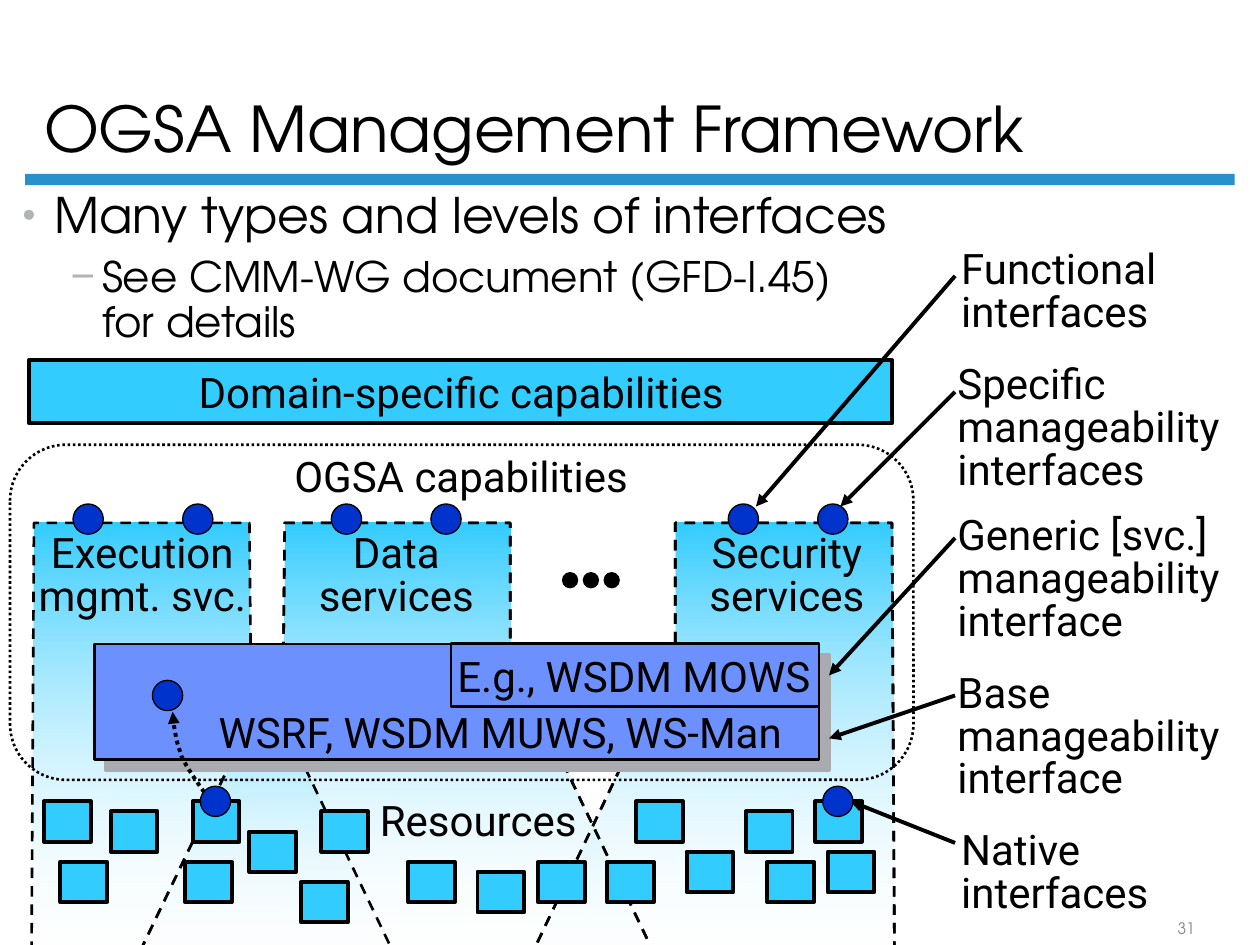
from lxml.etree import SubElement
from pptx import Presentation
from pptx.dml.color import RGBColor
from pptx.enum.dml import MSO_LINE
from pptx.enum.shapes import MSO_CONNECTOR, MSO_SHAPE
from pptx.enum.text import MSO_ANCHOR, MSO_AUTO_SIZE, PP_ALIGN
from pptx.oxml.ns import qn
from pptx.util import Inches, Pt

HEADING_FONT, DIAGRAM_FONT = "TeX Gyre Adventor", "Roboto"
BLACK, CYAN, NAVY, VIOLET = "000000", "33CCFF", "0033CC", "6D90FF"
DOT = 0.24


def rgb(value):
    return RGBColor.from_string(value)


def style(shape, fill=None, line=None, weight=1.5, dash=None):
    shape.shadow.inherit = False
    if fill:
        shape.fill.solid()
        shape.fill.fore_color.rgb = rgb(fill)
    else:
        shape.fill.background()
    set_line(shape.line, line, weight, dash)


def set_line(line, color, weight, dash=None):
    if not color:
        line.fill.background()
        return
    line.color.rgb = rgb(color)
    line.width = Pt(weight)
    if dash:
        line.dash_style = dash


def add_arrowhead(shape):
    SubElement(shape.line._get_or_add_ln(), qn("a:tailEnd"), type="triangle")


def add_box(shapes, kind, left, top, width, height, **look):
    shape = shapes.add_shape(kind, Inches(left), Inches(top), Inches(width), Inches(height))
    style(shape, **look)
    return shape


def add_dot(shapes, left, top):
    add_box(shapes, MSO_SHAPE.OVAL, left, top, DOT, DOT, fill=NAVY, line=BLACK, weight=0.75)


def add_path(shapes, left, top, points):
    corners = [(Inches(left + x), Inches(top + y)) for x, y in points]
    builder = shapes.build_freeform(*corners[0])
    builder.add_line_segments(corners[1:], close=False)
    return builder.convert_to_shape()


def add_run(paragraph, text, size, font=DIAGRAM_FONT, color=BLACK):
    run = paragraph.add_run()
    run.text = text
    run.font.size = Pt(size)
    run.font.name = font
    run.font.color.rgb = rgb(color)


def add_label(shapes, left, top, width, lines, align=PP_ALIGN.CENTER):
    height = 0.5 if len(lines) == 1 else 0.1 + 0.34 * len(lines)
    frame = shapes.add_textbox(Inches(left), Inches(top), Inches(width), Inches(height)).text_frame
    frame.word_wrap = True
    for index, line in enumerate(lines):
        paragraph = frame.add_paragraph() if index else frame.paragraphs[0]
        paragraph.alignment = align
        paragraph.line_spacing = 0.85 if len(lines) > 1 else 1.0
        add_run(paragraph, line, 24)


def place(placeholder, left, top, width, height, anchor):
    placeholder.left, placeholder.top = Inches(left), Inches(top)
    placeholder.width, placeholder.height = Inches(width), Inches(height)
    frame = placeholder.text_frame
    frame.auto_size = MSO_AUTO_SIZE.NONE
    frame.vertical_anchor = anchor
    return frame


def add_bullet(paragraph, character, indent, size):
    properties = paragraph._p.get_or_add_pPr()
    properties.set("marL", str(Inches(indent)))
    properties.set("indent", str(Inches(-0.25)))
    color = SubElement(properties, qn("a:buClr"))
    SubElement(color, qn("a:srgbClr"), val="B2B3B5")
    SubElement(properties, qn("a:buSzPct"), val=str(size * 1000))
    SubElement(properties, qn("a:buChar"), char=character)


def add_heading(slide, left, top):
    # Title over its rule
    frame = place(slide.shapes.title, left, top, 8.56, 1.25, MSO_ANCHOR.BOTTOM)
    paragraph = frame.paragraphs[0]
    paragraph.alignment = PP_ALIGN.LEFT
    paragraph.line_spacing = 0.9
    add_run(paragraph, "OGSA Management Framework", 36, HEADING_FONT)
    add_box(slide.shapes, MSO_SHAPE.RECTANGLE, left - 0.05, top + 1.26, 9.6, 0.09, fill="2990CA")


def add_points(slide, left, top):
    frame = place(slide.placeholders[1], left, top, 9.75, 2.21, MSO_ANCHOR.TOP)
    first, second = frame.paragraphs[0], frame.add_paragraph()
    second.level = 1
    add_bullet(first, "•", 0.25, 75)
    add_bullet(second, "−", 0.63, 100)
    for paragraph, before, after in ((first, 0, 3.5), (second, 3, 3)):
        paragraph.line_spacing = 0.9
        paragraph.space_before, paragraph.space_after = Pt(before), Pt(after)
    add_run(first, "Many types and levels of interfaces", 28, HEADING_FONT)
    add_run(second, "See CMM-WG document (GFD-I.45)", 24, HEADING_FONT)
    second.add_line_break()
    add_run(second, "for details", 24, HEADING_FONT)


def fade_down(shape):
    shape.fill.gradient()
    shape.fill.gradient_angle = 270
    for stop, color, position in zip(shape.fill.gradient_stops, (CYAN, "FFFFFF"), (0, 1)):
        stop.color.rgb = rgb(color)
        stop.position = position
    white = shape._element.spPr.findall(".//" + qn("a:srgbClr"))[1]
    SubElement(white, qn("a:alpha"), val="0")


def add_services(shapes, left, top):
    security = [(6.85, 3.55), (6.83, 0), (5.11, 0), (5.11, 1.03), (3.92, 3.53)]
    data = [(0.8, 3.53), (2, 1.03), (2.01, 0), (3.8, 0), (3.8, 1.03), (5, 3.54)]
    execution = [(0, 3.55), (0.02, 0), (1.73, 0), (1.74, 1.04), (2.93, 3.53)]
    # Fading columns, then the outlines that show through their overlaps
    for points in (security, data, execution):
        column = add_path(shapes, left, top, points)
        style(column, line=BLACK, dash=MSO_LINE.DASH)
        fade_down(column)
    for points in (security, data):
        style(add_path(shapes, left, top, points), line=BLACK, dash=MSO_LINE.DASH)
    # Ellipsis between the columns
    ellipsis = shapes.add_group_shape()
    for index in range(3):
        add_box(ellipsis.shapes, MSO_SHAPE.OVAL, left + 4.21 + 0.165 * index, top + 0.39,
                0.13, 0.13, fill=BLACK)
    # Names and interface dots
    add_label(shapes, left - 0.07, top + 0.04, 1.9, ["Execution", "mgmt. svc."])
    add_label(shapes, left + 2.17, top + 0.04, 1.45, ["Data", "services"])
    add_label(shapes, left + 5.27, top + 0.04, 1.45, ["Security", "services"])
    for x in (0.33, 1.2, 2.38, 3.17, 5.53, 6.24):
        add_dot(shapes, left + x, top - 0.15)


def add_capabilities(shapes, left, top):
    add_box(shapes, MSO_SHAPE.RECTANGLE, left + 0.15, top, 6.85, 0.5,
            fill=CYAN, line=BLACK, weight=2.25)
    add_label(shapes, left + 1.31, top, 4.54, ["Domain-specific capabilities"])
    add_box(shapes, MSO_SHAPE.ROUNDED_RECTANGLE, left, top + 0.67, 7.17, 2.66,
            line=BLACK, dash=MSO_LINE.ROUND_DOT)
    add_label(shapes, left + 2.11, top + 0.67, 2.94, ["OGSA capabilities"])


def add_resources(shapes, left, top):
    add_label(shapes, left + 2.54, top - 0.1, 1.81, ["Resources"])
    # Horizontal places of the resources, by row
    rows = {0: (0, 1.18, 4.7, 6.12), 0.08: (0.53, 2.2, 5.57), 0.24: (1.63,),
            0.4: (5.1, 6.22), 0.48: (0.13, 1.12, 2.89, 3.92, 4.47, 5.74),
            0.56: (3.44,), 0.64: (2.04,)}
    for y, places in rows.items():
        for x in places:
            add_box(shapes, MSO_SHAPE.RECTANGLE, left + x, top + y, 0.37, 0.32,
                    fill=CYAN, line=BLACK, weight=2.25)


def bezier(points, steps=8):
    for step in range(steps + 1):
        t = step / steps
        weights = ((1 - t) ** 3, 3 * t * (1 - t) ** 2, 3 * t ** 2 * (1 - t), t ** 3)
        yield tuple(sum(w * point[axis] for w, point in zip(weights, points)) for axis in (0, 1))


def add_base_layer(shapes, left, top):
    # Shadowed base with the inset example
    base = add_box(shapes, MSO_SHAPE.RECTANGLE, left, top, 5.75, 0.92, fill=VIOLET, line=BLACK)
    effects = base._element.spPr.find(qn("a:effectLst"))
    shadow = SubElement(effects, qn("a:outerShdw"), dist=str(Pt(8.5)), dir=str(45 * 60000),
                        algn="ctr", rotWithShape="0")
    SubElement(shadow, qn("a:srgbClr"), val="AAABB0")
    add_label(shapes, left + 0.78, top + 0.45, 4.88, ["WSRF, WSDM MUWS, WS-Man"])
    add_box(shapes, MSO_SHAPE.RECTANGLE, left + 2.83, top, 2.92, 0.5, fill=VIOLET, line=BLACK)
    add_label(shapes, left + 2.72, top, 3.12, ["E.g., WSDM MOWS"])
    # Curved arrow from a resource to the base
    lower = list(bezier([(0.94, 1.28), (0.9, 1.21), (0.74, 1.01), (0.69, 0.89)]))
    upper = list(bezier([(0.69, 0.89), (0.64, 0.76), (0.63, 0.66), (0.62, 0.54)], 3))
    arrow = add_path(shapes, left, top, lower + upper[1:])
    style(arrow, line=BLACK, weight=2.25, dash=MSO_LINE.ROUND_DOT)
    add_arrowhead(arrow)
    add_dot(shapes, left + 0.84, top + 1.13)
    add_dot(shapes, left + 0.46, top + 0.29)


def add_callouts(shapes, left, top):
    # Label offset, lines, arrow start height and arrow end
    callouts = [
        (0.03, 0, ["Functional", "interfaces"], 0.25, (-1.5, 2.08)),
        (0, 0.91, ["Specific", "manageability", "interfaces"], 1.17, (-0.83, 2.08)),
        (0, 2.11, ["Generic [svc.]", "manageability", "interface"], 2.33, (-0.92, 3.42)),
        (0, 3.36, ["Base", "manageability", "interface"], 3.58, (-0.92, 3.92)),
        (0.03, 4.61, ["Native", "interfaces"], 4.75, (-0.75, 4.42)),
    ]
    for x, y, lines, start, (end_x, end_y) in callouts:
        add_label(shapes, left + x, top + y, 2.42, lines, PP_ALIGN.LEFT)
        arrow = shapes.add_connector(MSO_CONNECTOR.STRAIGHT, Inches(left + 0.08),
                                     Inches(top + start), Inches(left + end_x), Inches(top + end_y))
        set_line(arrow.line, BLACK, 2.25)
        add_arrowhead(arrow)
        SubElement(arrow._element.spPr, qn("a:effectLst"))
    add_dot(shapes, left - 0.97, top + 4.3)


def add_page_number(shapes, left, top):
    frame = shapes.add_textbox(Inches(left), Inches(top), Inches(0.83), Inches(0.24)).text_frame
    frame.word_wrap = True
    frame.vertical_anchor = MSO_ANCHOR.BOTTOM
    frame.paragraphs[0].alignment = PP_ALIGN.CENTER
    add_run(frame.paragraphs[0], "31", 9, HEADING_FONT, "848589")


def main():
    presentation = Presentation()
    presentation.slide_width, presentation.slide_height = Inches(10), Inches(7.5)
    slide = presentation.slides.add_slide(presentation.slide_layouts[1])
    add_heading(slide, 0.25, 0.12)
    add_points(slide, 0.08, 1.47)
    add_services(slide.shapes, 0.25, 4.15)
    add_capabilities(slide.shapes, 0.08, 2.86)
    add_resources(slide.shapes, 0.35, 6.36)
    add_base_layer(slide.shapes, 0.75, 5.11)
    add_callouts(slide.shapes, 7.5, 1.94)
    add_page_number(slide.shapes, 9, 7.25)
    presentation.save("out.pptx")


if __name__ == "__main__":
    main()
